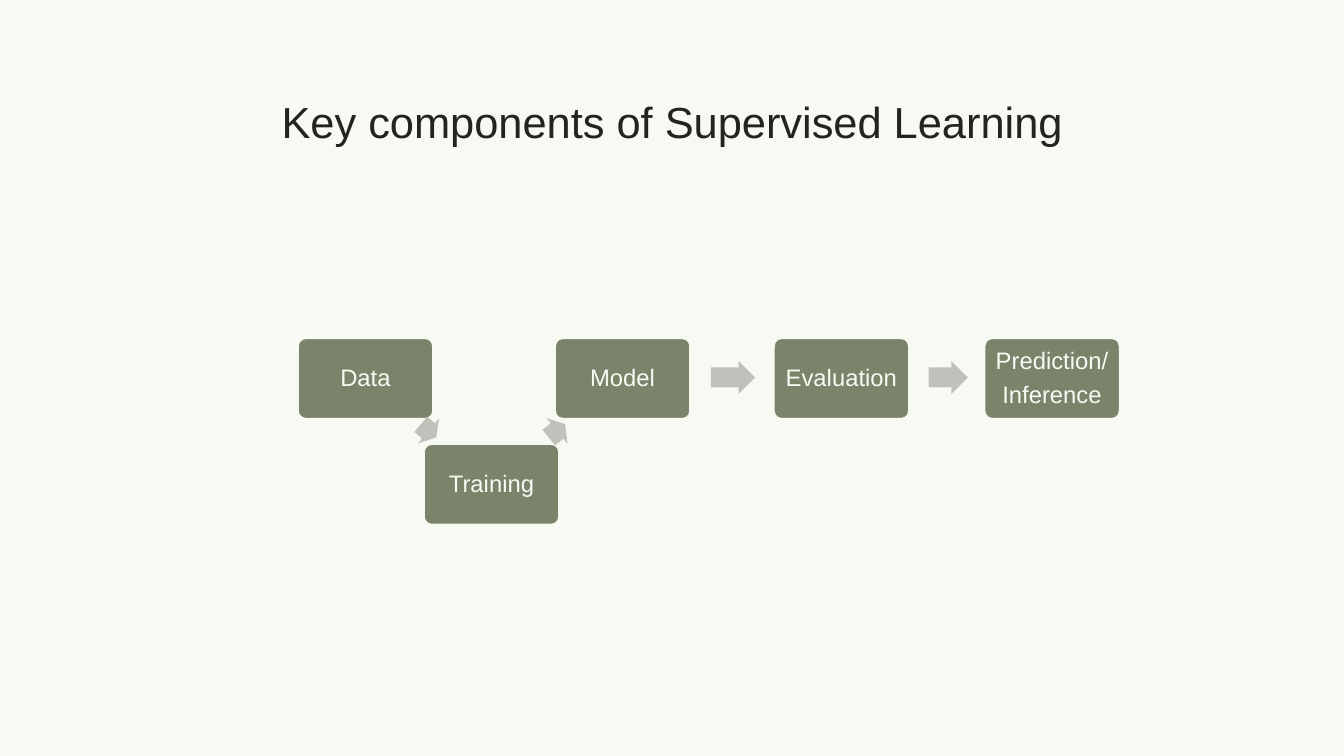
"""Build the slide on the key components of supervised learning."""
from dataclasses import dataclass

from pptx import Presentation
from pptx.dml.color import RGBColor
from pptx.enum.shapes import MSO_SHAPE
from pptx.enum.text import MSO_ANCHOR, MSO_AUTO_SIZE, PP_ALIGN
from pptx.util import Emu, Pt

EMU_PER_PX = 9144
FONT = "Arial"
COLORS = {
    "background": "F7FAF2",
    "title": "232322",
    "step": "7C836B",
    "arrow": "BFC1BA",
}
STEP_WIDTH, STEP_HEIGHT = 135, 81
ARROW_HEIGHT = 33
UPPER_ROW, LOWER_ROW = 335, 440
DIAGONAL_TOP, STRAIGHT_TOP = 411, 358


@dataclass(frozen=True)
class Step:
    lines: tuple[str, ...]
    left: int
    top: int = UPPER_ROW


@dataclass(frozen=True)
class Arrow:
    left: int
    width: int
    top: int = STRAIGHT_TOP
    rotation: float = 0


STEPS = (
    Step(("Data",), 295),
    Step(("Training",), 420, LOWER_ROW),
    Step(("Model",), 550),
    Step(("Evaluation",), 767),
    Step(("Prediction/", "Inference"), 976),
)
ARROWS = (
    Arrow(415, 20, DIAGONAL_TOP, 40.1),
    Arrow(542, 21, DIAGONAL_TOP, 320.9),
    Arrow(705, 44),
    Arrow(921, 39),
)


def px(length: int) -> Emu:
    """Turn pixels into EMU."""
    return Emu(length * EMU_PER_PX)


def color(key: str) -> RGBColor:
    """Look up a named colour."""
    return RGBColor.from_string(COLORS[key])


def set_frame(frame, inset: int) -> None:
    """Wrap and centre a text frame with equal insets."""
    frame.word_wrap = True
    frame.auto_size = MSO_AUTO_SIZE.NONE
    frame.vertical_anchor = MSO_ANCHOR.MIDDLE
    frame.margin_left = frame.margin_right = px(inset)
    frame.margin_top = frame.margin_bottom = px(inset)


def add_text(paragraph, text: str, size: int, color_key: str) -> None:
    """Add one centred run to a paragraph."""
    paragraph.alignment = PP_ALIGN.CENTER
    run = paragraph.add_run()
    run.text = text
    run.font.name = FONT
    run.font.size = Pt(size)
    run.font.color.rgb = color(color_key)


def add_block(slide, kind, left: int, top: int, width: int, height: int, fill: str):
    """Add a flat filled preset shape without an outline."""
    block = slide.shapes.add_shape(kind, px(left), px(top), px(width), px(height))
    block.shadow.inherit = False
    block.fill.solid()
    block.fill.fore_color.rgb = color(fill)
    block.line.fill.background()
    return block


def draw_title(slide, text: str) -> None:
    """Place and fill the title placeholder."""
    title = slide.shapes.title
    title.left, title.top = px(105), px(79)
    title.width, title.height = px(1123), px(82)
    set_frame(title.text_frame, 10)
    add_text(title.text_frame.paragraphs[0], text, 31, "title")


def draw_step(slide, step: Step) -> None:
    """Draw one labelled step of the process."""
    box = add_block(slide, MSO_SHAPE.ROUNDED_RECTANGLE, step.left, step.top,
                    STEP_WIDTH, STEP_HEIGHT, "step")
    box.adjustments[0] = 0.1
    box.line.color.rgb = color("background")
    box.line.width = Pt(2)
    frame = box.text_frame
    set_frame(frame, 9)
    for index, line in enumerate(step.lines):
        paragraph = frame.add_paragraph() if index else frame.paragraphs[0]
        paragraph.line_spacing = 0.9
        paragraph.space_after = Pt(6)
        add_text(paragraph, line, 17, "background")


def draw_arrow(slide, arrow: Arrow) -> None:
    """Draw one block arrow between steps."""
    pointer = add_block(slide, MSO_SHAPE.RIGHT_ARROW, arrow.left, arrow.top,
                        arrow.width, ARROW_HEIGHT, "arrow")
    pointer.adjustments[0] = 0.6
    pointer.adjustments[1] = 0.5
    pointer.rotation = arrow.rotation


def main() -> None:
    """Build and save the presentation."""
    presentation = Presentation()
    presentation.slide_width, presentation.slide_height = px(1333), px(750)
    slide = presentation.slides.add_slide(presentation.slide_layouts[5])
    slide.background.fill.solid()
    slide.background.fill.fore_color.rgb = color("background")
    draw_title(slide, "Key components of Supervised Learning")
    for step in STEPS:
        draw_step(slide, step)
    for arrow in ARROWS:
        draw_arrow(slide, arrow)
    presentation.save("out.pptx")


if __name__ == "__main__":
    main()
